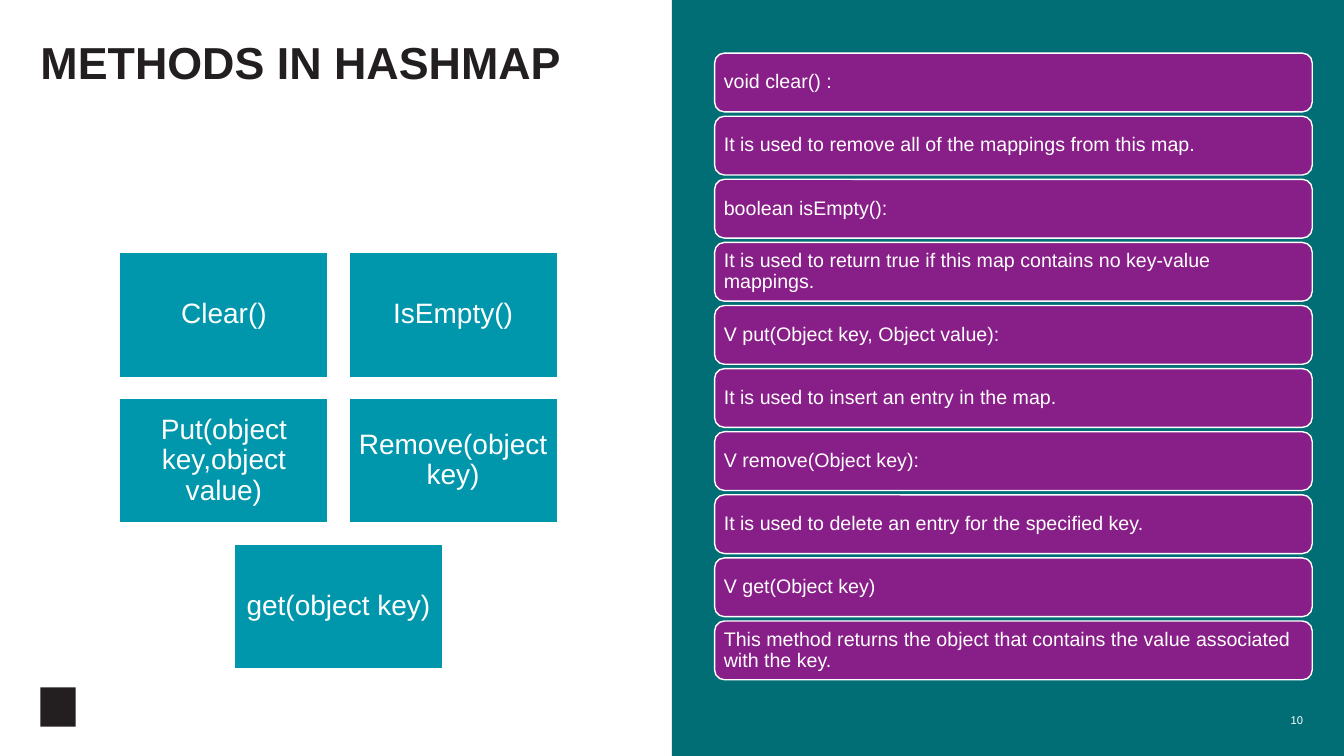
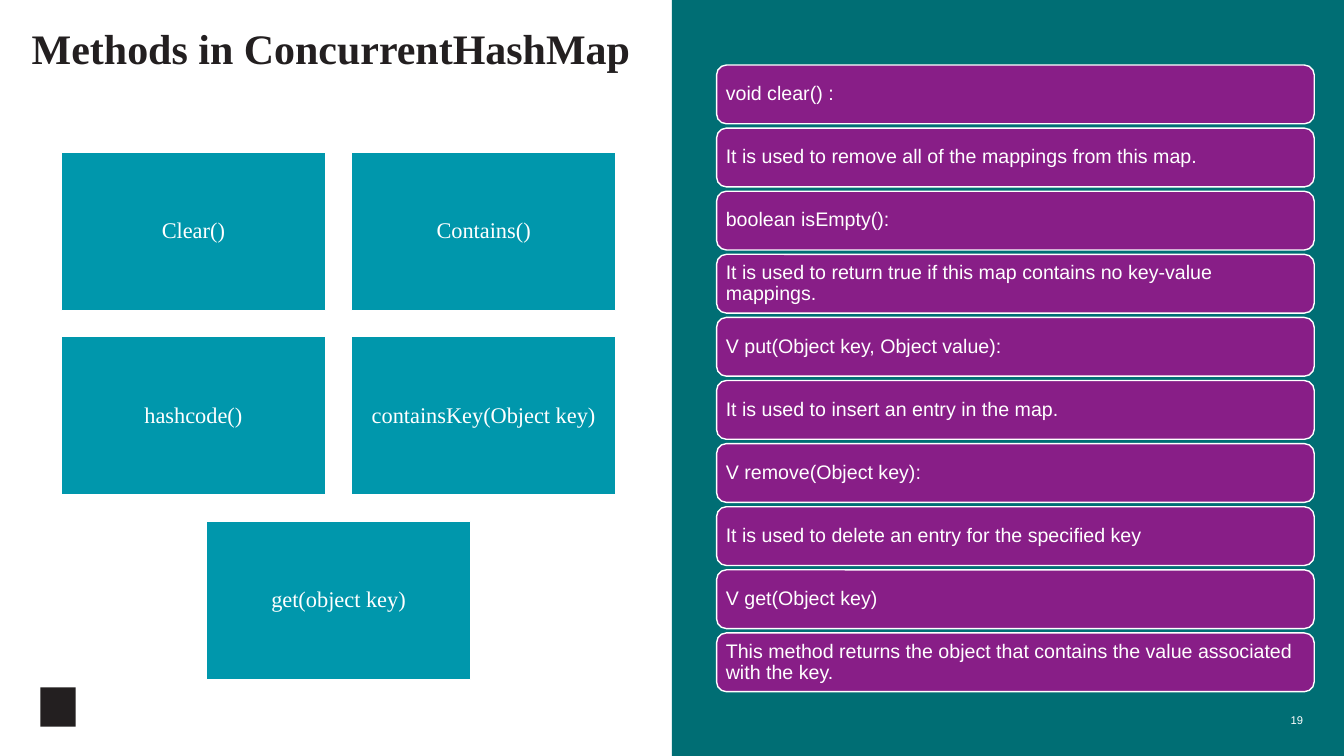
from pptx import Presentation, util as u
from pptx.dml.color import RGBColor
from pptx.enum import shapes, text

HUES = {"ink": "231F20", "panel": "006E74", "bar": "881E87",
        "box": "0097AC", "white": "FFFFFF"}
SANS, SERIF = "Arial", "Times New Roman"
RECT = shapes.MSO_SHAPE.RECTANGLE
ROUND = shapes.MSO_SHAPE.ROUNDED_RECTANGLE
WIDE, HIGH = 33.87, 19.05

BARS = [
    "void clear() :",
    "It is used to remove all of the mappings from this map.",
    "boolean isEmpty():",
    "It is used to return true if this map contains no key-value mappings.",
    "V put(Object key, Object value):",
    "It is used to insert an entry in the map.",
    "V remove(Object key):",
    "It is used to delete an entry for the specified key.",
    "V get(Object key)",
    "This method returns the object that contains the value associated "
    "with the key.",
]

# Places are (left, top) or (left, top, width) in cm
SLIDES = [
    {"title": "METHODS IN HASHMAP", "head": (1.02, 1.02, 15.06),
     "font": SANS, "size": 32, "page": "10",
     "boxes": ["Clear()", "IsEmpty()", "Put(object key,object value)",
               "Remove(object key)", "get(object key)"],
     "grid": (3.02, 6.36, 5.25), "label": 20, "pad": 0.2,
     "bars": BARS, "stack": (18.01, 1.34)},
    {"title": "Methods in ConcurrentHashMap", "head": (0.8, 0.71, 15.74),
     "font": SERIF, "size": 30, "page": "19",
     "boxes": ["Clear()", "Contains()", "hashcode()",
               "containsKey(Object key)", "get(object key)"],
     "grid": (1.55, 3.83, 6.65), "label": 16, "pad": 0.18,
     "bars": [bar.replace("specified key.", "specified key") for bar in BARS],
     "stack": (18.06, 1.64)},
]


def color(name):
    """Return the named colour."""
    return RGBColor.from_string(HUES[name])


def write(shape, words, font=SANS, size=14, hue="white", bold=False,
          align="LEFT", anchor="MIDDLE", pad=(0, 0), lead=0.9):
    """Put formatted text in a shape; pad is (side, top and bottom) in cm."""
    frame = shape.text_frame
    frame.word_wrap = True
    frame.auto_size = text.MSO_AUTO_SIZE.NONE
    frame.vertical_anchor = text.MSO_ANCHOR[anchor]
    frame.margin_left = frame.margin_right = u.Cm(pad[0])
    frame.margin_top = frame.margin_bottom = u.Cm(pad[1])
    para = frame.paragraphs[0]
    para.alignment = text.PP_ALIGN[align]
    para.line_spacing = lead
    para.space_before = u.Pt(0)
    run = para.add_run()
    run.text = words
    run.font.name, run.font.size, run.font.bold = font, u.Pt(size), bold
    run.font.color.rgb = color(hue)


def block(slide, kind, left, top, wide, high, fill, line=None):
    """Add a flat filled shape, placed in cm."""
    shape = slide.shapes.add_shape(kind, *map(u.Cm, (left, top, wide, high)))
    shape.shadow.inherit = False
    shape.fill.solid()
    shape.fill.fore_color.rgb = color(fill)
    if line:
        shape.line.color.rgb = color(line)
        shape.line.width = u.Pt(1)
    else:
        shape.line.fill.background()
    return shape


def frame(slide, data):
    """Add the title, side panel, corner mark and page number."""
    head = slide.shapes.title
    left, top, wide = data["head"]
    head.left, head.top = u.Cm(left), u.Cm(top)
    head.width, head.height = u.Cm(wide), u.Cm(3.7)
    write(head, data["title"], font=data["font"], size=data["size"],
          hue="ink", bold=True, anchor="TOP")
    block(slide, RECT, WIDE / 2, 0, WIDE / 2, HIGH, "panel")
    block(slide, RECT, 1.02, 17.32, 0.89, 0.99, "ink")
    page = slide.shapes.add_textbox(*map(u.Cm, (31.57, 17.55, 1.27, 0.76)))
    write(page, data["page"], size=8, align="RIGHT", anchor="BOTTOM", lead=1)


def stack(slide, data):
    """Add the column of rounded bars."""
    left, top = data["stack"]
    for row, words in enumerate(data["bars"]):
        bar = block(slide, ROUND, left, top + row * 1.59, 15.06, 1.48,
                    "bar", line="white")
        # A rounded shape insets its text by about 0.07 cm itself
        write(bar, words, pad=(0.16, 0.08))


def grid(slide, data):
    """Add the boxes two to a row, with a lone last box centred."""
    left, top, wide = data["grid"]
    high, gap = wide * 0.6, wide * 0.1
    count = len(data["boxes"])
    for spot, words in enumerate(data["boxes"]):
        row, col = divmod(spot, 2)
        if spot == count - 1 and col == 0:
            col = 0.5
        box = block(slide, RECT, left + col * (wide + gap),
                    top + row * (high + gap), wide, high, "box", line="white")
        write(box, words, font=data["font"], size=data["label"],
              align="CENTER", pad=(data["pad"], data["pad"]))


deck = Presentation()
deck.slide_width, deck.slide_height = u.Cm(WIDE), u.Cm(HIGH)
for data in SLIDES:
    slide = deck.slides.add_slide(deck.slide_layouts[5])
    frame(slide, data)
    stack(slide, data)
    grid(slide, data)
deck.save("out.pptx")
